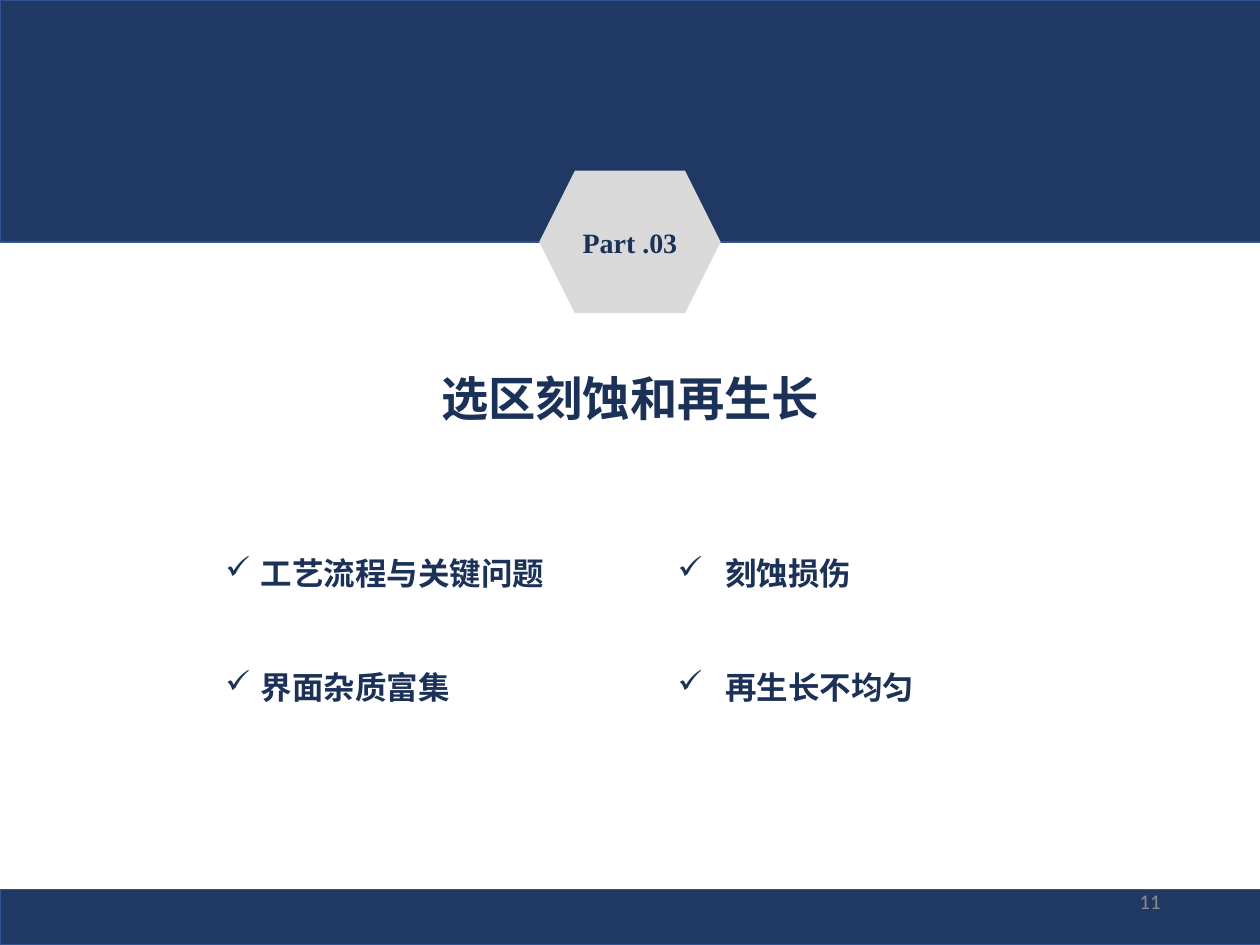
from lxml import etree
from pptx import Presentation
from pptx.dml.color import RGBColor
from pptx.enum.shapes import MSO_SHAPE
from pptx.enum.text import MSO_ANCHOR, PP_ALIGN
from pptx.oxml.ns import qn
from pptx.util import Inches, Pt

RECTANGLE, HEXAGON = MSO_SHAPE.RECTANGLE, MSO_SHAPE.HEXAGON
TOP, MIDDLE = MSO_ANCHOR.TOP, MSO_ANCHOR.MIDDLE
LEFT, CENTER, RIGHT = PP_ALIGN.LEFT, PP_ALIGN.CENTER, PP_ALIGN.RIGHT

WIDTH, HEIGHT = 10, 7.5
NAVY, EDGE, INK = "203864", "325491", "1C3158"
LIGHT, GRAY, WHITE = "D9D9D9", "8C8C8C", "FFFFFF"
CHINESE, SERIF, SANS = "Noto Sans CJK SC", "Times New Roman", "Calibri"


def color(value):
    return RGBColor.from_string(value)


class SectionSlide:
    """Holds the slide and its style; boxes are (left, top, width, height) in inches."""

    def __init__(self, presentation):
        self.slide = presentation.slides.add_slide(presentation.slide_layouts[5])
        background = self.slide.background.fill
        background.solid()
        background.fore_color.rgb = color(WHITE)

    def style(self, paragraph, size, font_name=CHINESE, ink=INK, bold=True, align=LEFT):
        paragraph.alignment = align
        font = paragraph.font
        font.size, font.bold, font.name = Pt(size), bold, font_name
        font.color.rgb = color(ink)
        properties = paragraph._p.pPr.find(qn("a:defRPr"))
        etree.SubElement(properties, qn("a:ea"), typeface=font_name)

    def label(self, shape, text, size, anchor=TOP, **style):
        frame = shape.text_frame
        frame.word_wrap = True
        frame.vertical_anchor = anchor
        frame.text = text
        self.style(frame.paragraphs[0], size, **style)

    def title(self, box, text, size):
        shape = self.slide.shapes.title
        shape.left, shape.top, shape.width, shape.height = map(Inches, box)
        self.label(shape, text, size, align=CENTER)

    def shape(self, kind, box, fill, line=None):
        shape = self.slide.shapes.add_shape(kind, *map(Inches, box))
        shape.shadow.inherit = False
        shape.fill.solid()
        shape.fill.fore_color.rgb = color(fill)
        if line:
            shape.line.color.rgb = color(line)
            shape.line.width = Pt(1)
        else:
            shape.line.fill.background()
        return shape

    def text(self, box, text, size, **style):
        shape = self.slide.shapes.add_textbox(*map(Inches, box))
        self.label(shape, text, size, **style)

    def checklist(self, box, items, indent):
        frame = self.slide.shapes.add_textbox(*map(Inches, box)).text_frame
        frame.word_wrap = True
        frame.text = "\n".join(items)
        for paragraph in frame.paragraphs:
            paragraph.line_spacing = 3.0
            properties = paragraph._p.get_or_add_pPr()
            properties.set("marL", str(Inches(indent)))
            properties.set("indent", str(-Inches(indent)))
            etree.SubElement(properties, qn("a:buChar"), char="✓")
            self.style(paragraph, 18)


def main():
    presentation = Presentation()
    presentation.slide_width, presentation.slide_height = Inches(WIDTH), Inches(HEIGHT)
    section = SectionSlide(presentation)

    # Section title
    section.title((WIDTH / 4, 2.88, WIDTH / 2, 0.56), "选区刻蚀和再生长", 27)

    # Top and bottom bands
    band_height, footer_height = 1.92, 0.44
    for top, height in ((0, band_height), (HEIGHT - footer_height, footer_height)):
        section.shape(RECTANGLE, (0, top, WIDTH + 0.01, height), NAVY, EDGE)

    # Part badge, centred on the edge of the top band
    badge_width, badge_height = 1.44, 1.13
    badge = section.shape(
        HEXAGON,
        ((WIDTH - badge_width) / 2, band_height - badge_height / 2, badge_width, badge_height),
        LIGHT,
    )
    section.label(badge, "Part .03", 16, anchor=MIDDLE, font_name=SERIF, align=CENTER)

    # Topics in two columns
    columns = (
        (1.69, 3.76, 0.28, ("工艺流程与关键问题", "界面杂质富集")),
        (5.28, 4.16, 0.38, ("刻蚀损伤", "再生长不均匀")),
    )
    for left, width, indent, topics in columns:
        section.checklist((left, HEIGHT / 2, width, 1.75), topics, indent)

    # Page number
    section.text((7.06, 6.95, 2.25, 0.4), "11", 12, anchor=MIDDLE,
                 font_name=SANS, ink=GRAY, bold=False, align=RIGHT)

    presentation.save("out.pptx")


if __name__ == "__main__":
    main()
